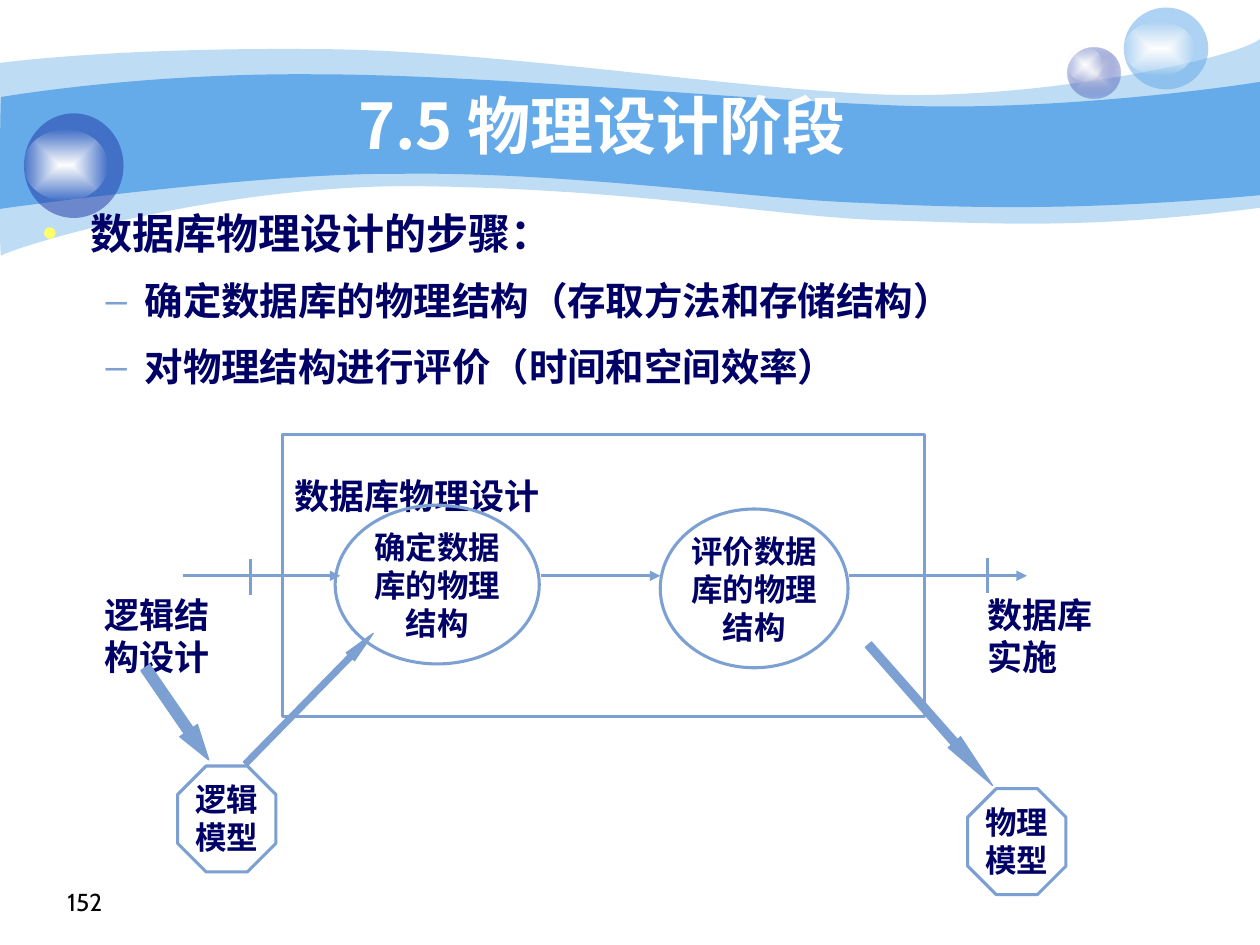
from lxml import etree
from pptx import Presentation, util as u
from pptx.dml.color import RGBColor
from pptx.enum import shapes, text
from pptx.oxml import parse_xml
from pptx.oxml.ns import nsdecls, qn

NAVY, STEEL, SKY, INDIGO, WHITE = "000066", "7DA0D3", "65AAE9", "233DA9", "FFFFFF"
SHAPE, ALIGN, ANCHOR = shapes.MSO_SHAPE, text.PP_ALIGN, text.MSO_ANCHOR
LABEL = dict(name="Times New Roman", ea="Cabin", color=NAVY, bold=True)


def rgb(value):
    """Turn a hex string into a colour."""
    return RGBColor.from_string(value)


def box(values):
    """Turn inch values into lengths."""
    return [u.Inches(v) for v in values]


def style(sp, fill=None, line=None, width=1.75, alpha=None):
    """Set fill, opacity, outline and shadow of a shape."""
    sp.shadow.inherit = False
    if fill:
        sp.fill.solid()
        sp.fill.fore_color.rgb = rgb(fill)
        if alpha:
            clr = sp.fill._xPr.find(".//" + qn("a:srgbClr"))
            etree.SubElement(clr, qn("a:alpha"), val=str(alpha * 1000))
    else:
        sp.fill.background()
    if line:
        sp.line.color.rgb = rgb(line)
        sp.line.width = u.Pt(width)
    else:
        sp.line.fill.background()


def add_bullet(p, char, color, left, hang):
    """Give a paragraph a coloured bullet and a hanging indent."""
    pPr = p._p.get_or_add_pPr()
    pPr.set("marL", str(u.Inches(left)))
    pPr.set("indent", str(-u.Inches(hang)))
    clr = etree.SubElement(pPr, qn("a:buClr"))
    etree.SubElement(clr, qn("a:srgbClr"), val=color)
    etree.SubElement(pPr, qn("a:buFont"), typeface="Arial")
    etree.SubElement(pPr, qn("a:buChar"), char=char)


def write(p, words, size, name, ea, color, bold=False, **para):
    """Write one run and set paragraph formats."""
    r = p.add_run()
    r.text = words
    for key, value in dict(size=u.Pt(size), name=name, bold=bold).items():
        setattr(r.font, key, value)
    r.font.color.rgb = rgb(color)
    etree.SubElement(r._r.get_or_add_rPr(), qn("a:ea"), typeface=ea)
    for key, value in para.items():
        setattr(p, key, value)


def fill_text(sp, lines, anchor=ANCHOR.TOP, inset=None, **fmt):
    """Write lines into a shape, one paragraph each."""
    tf = sp.text_frame
    tf.word_wrap = True
    tf.vertical_anchor = anchor
    if inset is not None:
        for side in ("left", "top", "right", "bottom"):
            setattr(tf, "margin_" + side, u.Inches(inset))
    for i, words in enumerate(lines):
        p = tf.add_paragraph() if i else tf.paragraphs[0]
        write(p, words, **fmt)


def add_text(s, at, lines, **fmt):
    """Add a text box."""
    fill_text(s.shapes.add_textbox(*box(at)), lines, **fmt)


def add_node(s, kind, at, lines, adj=None, **fmt):
    """Add an outlined shape with a label."""
    sp = s.shapes.add_shape(kind, *box(at))
    if adj:
        sp.adjustments[0] = adj
    style(sp, line=STEEL)
    fill_text(sp, lines, **{**LABEL, **fmt})


def add_line(s, x1, y1, x2, y2, arrow=False):
    """Add a straight line, with an arrowhead if asked."""
    c = s.shapes.add_connector(shapes.MSO_CONNECTOR.STRAIGHT, *box((x1, y1, x2, y2)))
    c.line.color.rgb = rgb(STEEL)
    c.line.width = u.Pt(1.75)
    if arrow:
        etree.SubElement(c.line._get_or_add_ln(), qn("a:tailEnd"), type="triangle")
    etree.SubElement(c._element.spPr, qn("a:effectLst"))


def add_block_arrow(s, at, angle, head):
    """Add a rotated block arrow."""
    sp = s.shapes.add_shape(SHAPE.RIGHT_ARROW, *box(at))
    sp.rotation = angle
    sp.adjustments[0], sp.adjustments[1] = 0.5, head
    style(sp, STEEL, STEEL, 0.75)


def bend(segments):
    """Join each three straight segments into one Bezier curve."""
    for a, b, c in zip(*[iter(segments)] * 3):
        a.tag_curve = etree.Element(qn("a:cubicBezTo"))
        a.addprevious(a.tag_curve)
        for seg in (a, b, c):
            a.tag_curve.append(seg[0])
            seg.getparent().remove(seg)


def join_curves(segments):
    """Turn each three straight segments into one Bezier curve."""
    for trio in zip(*[iter(segments)] * 3):
        bezier = etree.Element(qn("a:cubicBezTo"))
        trio[0].addprevious(bezier)
        for seg in trio:
            bezier.append(seg[0])
            seg.getparent().remove(seg)


def add_wave(s, top, bottom, alpha=None):
    """Add a band between two curved edges."""
    first, *rest = [box(pt) for pt in top + bottom]
    fb = s.shapes.build_freeform(*first)
    fb.add_line_segments(rest, close=True)
    sp = fb.convert_to_shape()
    segments = list(sp._element.iter(qn("a:lnTo")))
    join_curves(segments[:len(top) - 1])
    join_curves(segments[len(top):])
    style(sp, SKY, alpha=alpha)


def add_glow(s, at, inner, outer, alpha):
    """Add an ellipse that fades from its centre."""
    sp = s.shapes.add_shape(SHAPE.OVAL, *box(at))
    style(sp)
    old = sp._element.spPr.find(qn("a:noFill"))
    old.getparent().replace(old, parse_xml(
        f'<a:gradFill {nsdecls("a")} rotWithShape="1"><a:gsLst>'
        f'<a:gs pos="0"><a:srgbClr val="{inner}"/></a:gs><a:gs pos="100000">'
        f'<a:srgbClr val="{outer}"><a:alpha val="{alpha * 1000}"/></a:srgbClr></a:gs></a:gsLst>'
        '<a:path path="shape"><a:fillToRect l="50000" t="50000" r="50000" b="50000"/>'
        '</a:path></a:gradFill>'))


def add_bubble(s, at, shine, color):
    """Add a translucent ball with a highlight."""
    style(s.shapes.add_shape(SHAPE.OVAL, *box(at)), color, alpha=53)
    add_glow(s, shine, WHITE, WHITE, 0)


def add_backdrop(s):
    """Add the waves and bubbles."""
    add_wave(s, [(0, 0.5), (0.24, 0.47), (1.07, 0.38), (2.47, 0.39), (3.86, 0.39),
                 (5.75, 0.7), (6.99, 0.75), (8.22, 0.8), (9.8, 0.47), (10, 0.31)],
             [(10, 1.65), (8.58, 1.83), (7.87, 1.77), (7.05, 1.75), (6.22, 1.73),
              (5.15, 1.51), (3.43, 1.48), (1.72, 1.44), (0.04, 1.99), (0.01, 2.03),
              (-0.01, 2.08), (0, 0.75), (0, 0.5)], alpha=41)
    add_wave(s, [(0.01, 0.77), (0.02, 0.77), (1.1, 0.58), (2.48, 0.59), (3.86, 0.59),
                 (5.95, 0.8), (7.18, 0.84), (8.41, 0.88), (9.76, 0.69), (10, 0.65)],
             [(10, 1.55), (8.53, 1.68), (7.65, 1.65), (6.82, 1.61), (5.99, 1.58),
              (4.47, 1.36), (3.17, 1.38), (2.03, 1.37), (-0.02, 1.66), (-0.01, 1.66),
              (0, 1.66), (0, 0.77), (0.01, 0.77)])
    add_glow(s, (8.47, 0.38, 0.42, 0.4), "E1E2ED", INDIGO, 31)
    add_glow(s, (8.47, 0.38, 0.28, 0.27), WHITE, WHITE, 0)
    add_bubble(s, (8.92, 0.06, 0.67, 0.65), (8.92, 0.17, 0.56, 0.43), SKY)
    add_bubble(s, (0.19, 0.9, 0.79, 0.83), (0.19, 1.03, 0.66, 0.56), INDIGO)


def add_steps(s):
    """Add the bulleted list of design steps."""
    tf = s.shapes.add_textbox(*box((0.24, 1.6, 9.42, 1.83))).text_frame
    tf.word_wrap = True
    fmt = dict(name="Cabin", ea="Cabin", color=NAVY, bold=True)
    p = tf.paragraphs[0]
    add_bullet(p, "•", "FFFF66", 0.38, 0.38)
    write(p, "数据库物理设计的步骤：", 24, **fmt)
    for words in ("确定数据库的物理结构（存取方法和存储结构）", "对物理结构进行评价（时间和空间效率）"):
        p = tf.add_paragraph()
        add_bullet(p, "–", STEEL, 0.81, 0.31)
        write(p, words, 22, level=1, space_before=u.Pt(11), **fmt)


def add_diagram(s):
    """Add the physical design flow."""
    centred = dict(size=18, alignment=ALIGN.CENTER, inset=0)
    side = dict(LABEL, size=20, alignment=ALIGN.JUSTIFY, inset=0)
    add_node(s, SHAPE.RECTANGLE, (2.24, 3.45, 5.1, 2.24), ["数据库物理设计"],
             size=20, alignment=ALIGN.JUSTIFY, line_spacing=1.8)
    add_line(s, 1.45, 4.57, 2.7, 4.57, arrow=True)
    add_node(s, SHAPE.OVAL, (2.66, 4.01, 1.62, 1.26), ["确定数据库的物理结构"], **centred)
    add_line(s, 4.29, 4.57, 5.24, 4.57, arrow=True)
    add_node(s, SHAPE.OVAL, (5.24, 4.04, 1.49, 1.26), ["评价数据库的物理结构"], **centred)
    add_line(s, 6.74, 4.57, 8.15, 4.57, arrow=True)
    add_line(s, 7.84, 4.43, 7.84, 4.71)
    add_line(s, 1.99, 4.44, 1.99, 4.72)
    add_text(s, (0.83, 4.71, 1.25, 0.42), ["逻辑结", "构设计"], **side)
    add_text(s, (7.84, 4.71, 1.4, 0.42), ["数据库", "实施"], **side)
    add_node(s, SHAPE.OCTAGON, (7.68, 6.26, 0.78, 0.84), ["物理", "模型"], adj=0.29, **centred)
    add_block_arrow(s, (0.96, 5.58, 0.89, 0.17), 55.5, 1.66)
    add_block_arrow(s, (6.64, 5.61, 1.49, 0.13), 48.6, 3.52)
    add_block_arrow(s, (1.73, 5.5, 1.45, 0.09), 314.4, 2.87)
    add_node(s, SHAPE.OCTAGON, (1.41, 6.08, 0.78, 0.84), ["逻辑", "模型"], adj=0.29, **centred)


def main():
    """Build and save the slide."""
    prs = Presentation()
    prs.slide_width, prs.slide_height = box((10, 7.5))
    s = prs.slides.add_slide(prs.slide_layouts[6])
    add_backdrop(s)
    add_text(s, (0.73, 0.65, 8.09, 0.67), ["7.5 物理设计阶段"], anchor=ANCHOR.MIDDLE, size=36,
             name="Noto Sans CJK SC", ea="Noto Sans CJK SC", color=WHITE, bold=True,
             alignment=ALIGN.CENTER)
    add_steps(s)
    add_diagram(s)
    add_text(s, (0.27, 6.82, 0.64, 0.5), ["152"], anchor=ANCHOR.BOTTOM, size=14,
             name="Cabin", ea="Cabin", color="000000", alignment=ALIGN.RIGHT)
    prs.save("out.pptx")


if __name__ == "__main__":
    main()
